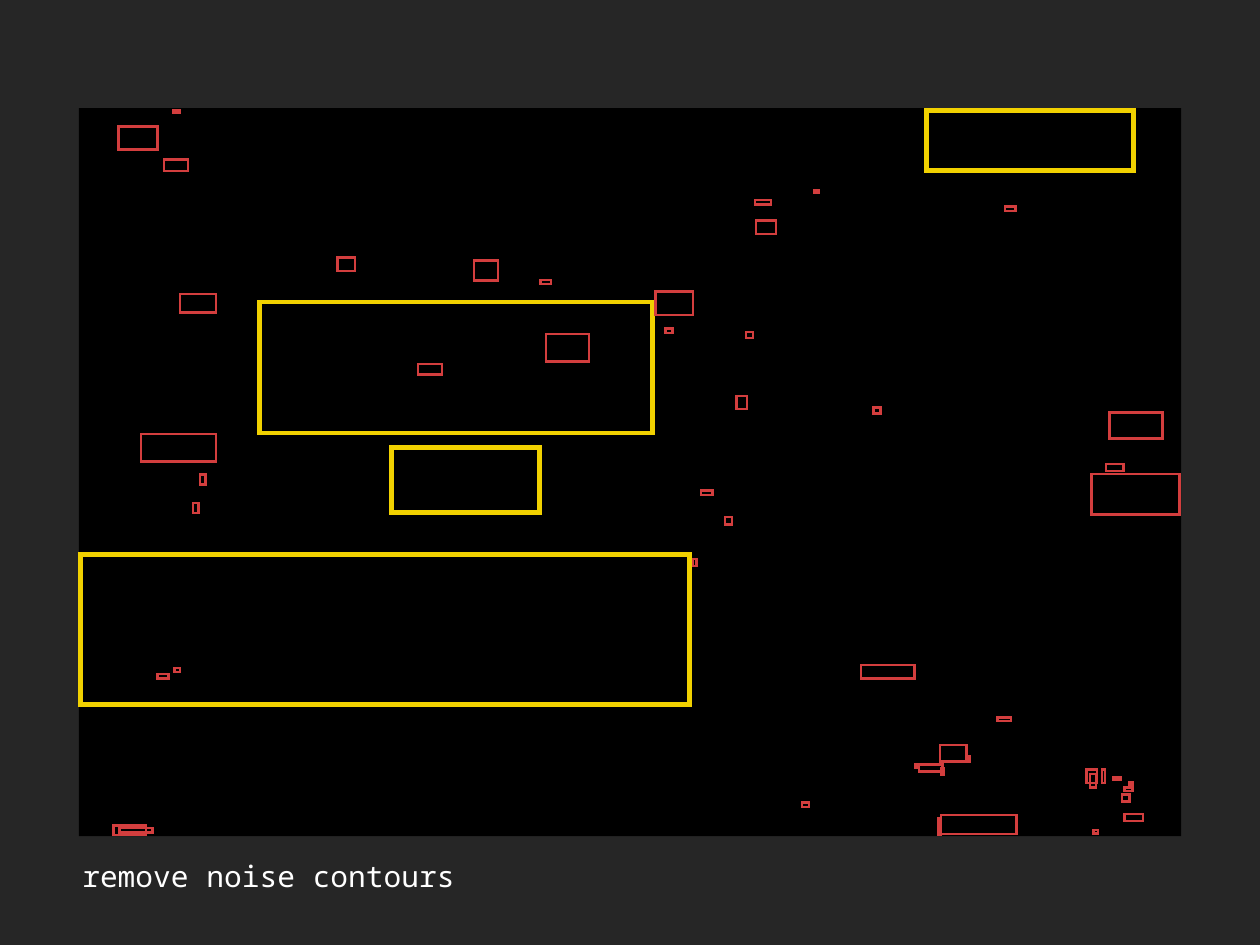
from dataclasses import dataclass

from lxml import etree
from pptx import Presentation
from pptx.dml.color import RGBColor
from pptx.enum.shapes import MSO_SHAPE
from pptx.enum.text import MSO_ANCHOR, MSO_AUTO_SIZE
from pptx.oxml.ns import qn
from pptx.util import Cm, Pt

RECT = MSO_SHAPE.RECTANGLE
MIDDLE = MSO_ANCHOR.MIDDLE
GROW = MSO_AUTO_SIZE.SHAPE_TO_FIT_TEXT
CM_PER_INCH = 2.54


@dataclass(frozen=True)
class Theme:
    background: str = "262626"
    canvas: str = "000000"
    kept: str = "F1D100"
    noise: str = "D33E3E"
    text: str = "FFFFFF"
    font: str = "Noto Sans Mono"
    caption_size: int = 24
    kept_width: int = 4
    noise_width: int = 2


theme = Theme()

KEPT_BOXES = [
    (2.93, 3.41, 4.43, 1.48), (0.91, 6.26, 6.87, 1.7),
    (10.46, 1.25, 2.33, 0.68), (4.42, 5.05, 1.67, 0.74),
]
NOISE_BOXES = [
    (1.59, 4.9, 0.85, 0.31), (1.78, 7.61, 0.12, 0.05), (1.97, 7.54, 0.06, 0.05),
    (1.28, 9.32, 0.37, 0.11), (1.35, 9.35, 0.37, 0.05), (2.18, 5.68, 0.06, 0.11),
    (2.26, 5.36, 0.06, 0.11), (2.03, 3.32, 0.41, 0.21), (3.81, 2.91, 0.2, 0.15),
    (1.34, 1.43, 0.44, 0.26), (1.85, 1.8, 0.27, 0.13), (1.95, 1.24, 0.08, 0.03),
    (5.35, 2.94, 0.27, 0.23), (4.72, 4.11, 0.27, 0.12), (6.16, 3.77, 0.49, 0.31),
    (7.4, 3.29, 0.42, 0.27), (8.53, 2.49, 0.23, 0.15), (6.1, 3.16, 0.12, 0.05),
    (7.51, 3.71, 0.08, 0.05), (8.31, 4.47, 0.12, 0.15), (7.91, 5.54, 0.13, 0.05),
    (8.52, 2.26, 0.18, 0.05), (9.19, 2.15, 0.05, 0.03), (9.86, 4.6, 0.08, 0.07),
    (12.52, 4.66, 0.6, 0.29), (12.32, 5.35, 0.99, 0.46), (12.48, 5.24, 0.2, 0.08),
    (9.72, 7.51, 0.6, 0.15), (9.05, 9.06, 0.08, 0.05), (10.61, 8.41, 0.3, 0.19),
    (10.37, 8.63, 0.27, 0.08), (10.62, 9.2, 0.85, 0.22), (12.26, 8.69, 0.12, 0.15),
    (12.3, 8.74, 0.07, 0.15), (12.44, 8.69, 0.03, 0.15), (12.75, 8.83, 0.03, 0.06),
    (12.69, 8.89, 0.09, 0.04), (12.56, 8.78, 0.09, 0.03), (12.66, 8.97, 0.09, 0.08),
    (12.69, 9.19, 0.21, 0.08), (12.34, 9.37, 0.05, 0.04), (11.26, 8.1, 0.15, 0.04),
    (10.59, 9.24, 0.03, 0.19), (10.92, 8.54, 0.03, 0.06), (10.62, 8.67, 0.03, 0.08),
    (10.33, 8.63, 0.03, 0.04), (8.18, 5.84, 0.08, 0.08), (7.82, 6.31, 0.04, 0.08),
    (8.42, 3.75, 0.08, 0.07), (11.34, 2.33, 0.12, 0.05),
]


def lengths(*inches):
    return [Cm(v * CM_PER_INCH) for v in inches]


def add_text(s, text, *, box, inset, font, size, color):
    sp = s.shapes.add_textbox(*lengths(*box))
    tf = sp.text_frame
    tf.word_wrap = True
    tf.auto_size = GROW
    tf.vertical_anchor = MIDDLE
    tf.margin_left = tf.margin_right = Cm(inset)
    tf.margin_top = tf.margin_bottom = Cm(inset)
    r = tf.paragraphs[0].add_run()
    r.text = text
    r.font.name = font
    r.font.size = Pt(size)
    r.font.color.rgb = RGBColor.from_string(color)


prs = Presentation()
prs.slide_width, prs.slide_height = lengths(14.22, 10.67)
s = prs.slides.add_slide(prs.slide_layouts[6])
s.background.fill.solid()
s.background.fill.fore_color.rgb = RGBColor.from_string(theme.background)

canvas = s.shapes.add_shape(RECT, *lengths(0.89, 1.22, 12.44, 8.22))
canvas.shadow.inherit = False
canvas.fill.solid()
canvas.fill.fore_color.rgb = RGBColor.from_string(theme.canvas)
canvas.line.fill.background()

for boxes, color, width in (
    (KEPT_BOXES, theme.kept, theme.kept_width),
    (NOISE_BOXES, theme.noise, theme.noise_width),
):
    for box in boxes:
        sp = s.shapes.add_shape(RECT, *lengths(*box))
        sp.shadow.inherit = False
        sp.fill.background()
        sp.line.color.rgb = RGBColor.from_string(color)
        sp.line.width = Pt(width)
        ln = sp.element.spPr.find(qn("a:ln"))
        etree.SubElement(ln, qn("a:miter"), lim="400000")

add_text(s, "remove noise contours", box=(0.87, 9.63, 8.43, 0.51), inset=0.15,
         font=theme.font, size=theme.caption_size, color=theme.text)

prs.save("out.pptx")
